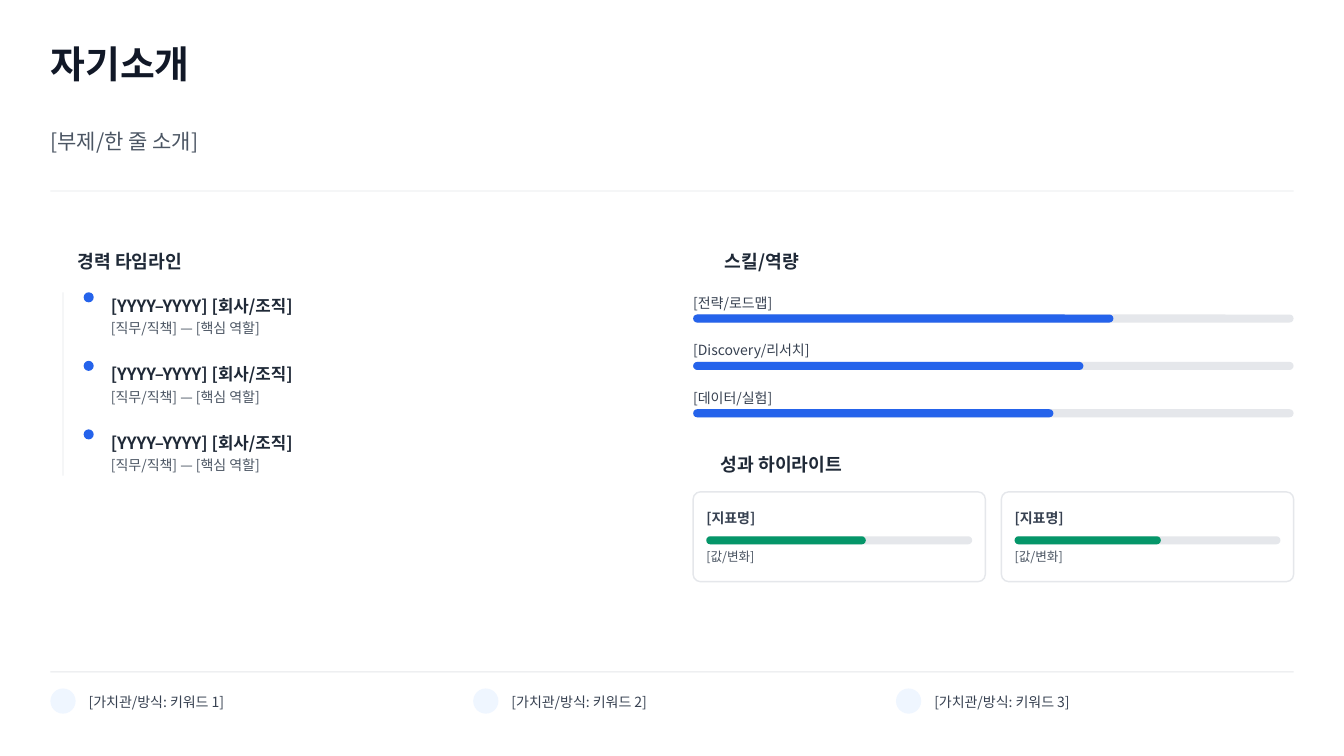
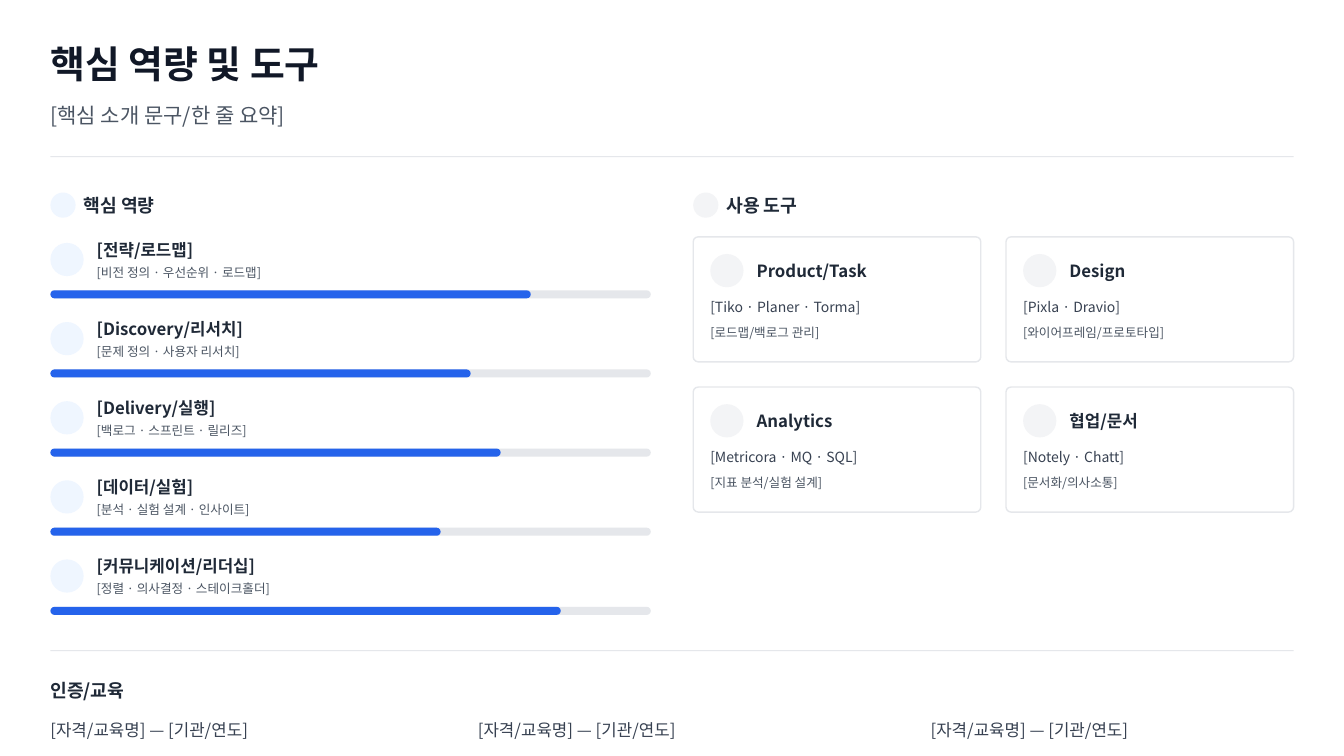
from pptx import Presentation
from pptx.dml.color import RGBColor
from pptx.enum.shapes import MSO_SHAPE
from pptx.enum.text import MSO_ANCHOR, MSO_AUTO_SIZE, PP_ALIGN
from pptx.oxml.ns import qn
from pptx.util import Inches, Pt
from lxml.etree import SubElement

# Colours
NAVY = RGBColor(0x11, 0x18, 0x27)
DARK = RGBColor(0x1F, 0x29, 0x37)
SLATE = RGBColor(0x37, 0x41, 0x51)
MUTED = RGBColor(0x4B, 0x55, 0x63)
BORDER = RGBColor(0xE5, 0xE7, 0xEB)
PALE_GRAY = RGBColor(0xF3, 0xF4, 0xF6)
PALE_BLUE = RGBColor(0xEF, 0xF6, 0xFF)
BLUE = RGBColor(0x25, 0x63, 0xEB)
GREEN = RGBColor(0x05, 0x96, 0x69)

# Text styles: size, colour, bold
FONT = "Noto Sans CJK KR"
TITLE = (27, NAVY, True)
SUBTITLE = (15, MUTED, False)
HEADING = (13, DARK, True)
ITEM = (12, DARK, True)
ENTRY = (12, SLATE, False)
METRIC = (10, SLATE, True)
LABEL = (10, SLATE, False)
DETAIL = (10, MUTED, False)
SMALL = (9, MUTED, False)

# Grid, in inches: two columns between equal margins
WIDTH, HEIGHT = 13.33, 7.5
LEFT = 0.5
CONTENT = WIDTH - 2 * LEFT
GUTTER = 0.42
COLUMN = (CONTENT - GUTTER) / 2
RIGHT = LEFT + COLUMN + GUTTER
BAR = 0.08
ROUND = 0.5


def add_text(slide, text, left, top, width, height, style, shape=None):
    """Write one line, in a new text box or in the given placeholder."""
    if shape is None:
        shape = slide.shapes.add_textbox(0, 0, 0, 0)
    shape.left, shape.top = Inches(left), Inches(top)
    shape.width, shape.height = Inches(width), Inches(height)
    frame = shape.text_frame
    frame.word_wrap = True
    frame.auto_size = MSO_AUTO_SIZE.NONE
    frame.vertical_anchor = MSO_ANCHOR.MIDDLE
    frame.margin_left = frame.margin_right = frame.margin_top = frame.margin_bottom = 0
    paragraph = frame.paragraphs[0]
    paragraph.alignment = PP_ALIGN.LEFT
    run = paragraph.add_run()
    run.text = text
    size, run.font.color.rgb, run.font.bold = style
    run.font.size = Pt(size)
    run.font.name = FONT
    SubElement(run.font._element, qn("a:ea"), typeface=FONT)


def add_box(slide, left, top, width, height, fill=None, radius=0):
    """Add a filled box, or an outlined card when there is no fill."""
    kind = MSO_SHAPE.ROUNDED_RECTANGLE if radius else MSO_SHAPE.RECTANGLE
    shape = slide.shapes.add_shape(
        kind, Inches(left), Inches(top), Inches(width), Inches(height))
    shape.shadow.inherit = False
    if radius:
        shape.adjustments[0] = radius
    if fill is None:
        shape.fill.background()
        shape.line.color.rgb = BORDER
        shape.line.width = Pt(1)
    else:
        shape.fill.solid()
        shape.fill.fore_color.rgb = fill
        shape.line.fill.background()


presentation = Presentation()
presentation.slide_width, presentation.slide_height = Inches(WIDTH), Inches(HEIGHT)

# Shared frame: title, subtitle and the two rules
frames = [
    ("자기소개", "[부제/한 줄 소개]", 0.81, (1.89, 6.66)),
    ("핵심 역량 및 도구", "[핵심 소개 문구/한 줄 요약]", 0.3, (1.55, 6.45)),
]
for title, subtitle, subtitle_height, rules in frames:
    slide = presentation.slides.add_slide(presentation.slide_layouts[5])
    add_text(slide, title, LEFT, 0.36, CONTENT, 0.54, TITLE, slide.shapes.title)
    add_text(slide, subtitle, LEFT, 0.99, CONTENT, subtitle_height, SUBTITLE)
    for top in rules:
        add_box(slide, LEFT, top, CONTENT, 0.01, BORDER)
profile, skills = presentation.slides
bars = []  # slide, left, top, width, share, colour

# Section headings
headings = [
    (profile, "경력 타임라인", 0.77, 2.45), (profile, "스킬/역량", 7.19, 2.45),
    (profile, "성과 하이라이트", 7.15, 4.47),
    (skills, "핵심 역량", LEFT + 0.33, 1.9), (skills, "사용 도구", RIGHT + 0.33, 1.9),
    (skills, "인증/교육", LEFT, 6.71),
]
for slide, text, left, top in headings:
    add_text(slide, text, left, top, 2, 0.28, HEADING)
for left, color in ((LEFT, PALE_BLUE), (RIGHT, PALE_GRAY)):
    add_box(skills, left, 1.91, 0.25, 0.25, color, ROUND)

# Profile: career timeline
add_box(profile, 0.62, 2.9, 0.01, 1.82, BORDER)
for row in range(3):
    top = 2.9 + row * 0.68
    add_box(profile, 0.83, top, 0.1, 0.1, BLUE, ROUND)
    add_text(profile, "[YYYY–YYYY] [회사/조직]", 1.1, top, 5, 0.26, ITEM)
    add_text(profile, "[직무/직책] — [핵심 역할]", 1.1, top + 0.25, 5, 0.21, DETAIL)

# Profile: skill levels
levels = [("[전략/로드맵]", 0.7), ("[Discovery/리서치]", 0.65), ("[데이터/실험]", 0.6)]
for row, (text, share) in enumerate(levels):
    top = 2.9 + row * 0.47
    add_text(profile, text, RIGHT, top, COLUMN, 0.21, LABEL)
    bars.append((profile, RIGHT, top + 0.22, COLUMN, share, BLUE))

# Profile: highlight cards
gap, padding = 0.16, 0.13
card_width = (COLUMN - gap) / 2
inner_width = card_width - 2 * padding
for column, share in enumerate((0.6, 0.55)):
    left = RIGHT + column * (card_width + gap)
    add_box(profile, left, 4.88, card_width, 0.89, radius=0.08)
    add_text(profile, "[지표명]", left + padding, 5.02, inner_width, 0.23, METRIC)
    add_text(profile, "[값/변화]", left + padding, 5.44, inner_width, 0.17, SMALL)
    bars.append((profile, left + padding, 5.32, inner_width, share, GREEN))

# Profile: values along the foot
value_step = (CONTENT + 0.25) / 3
for column in range(3):
    left = LEFT + column * value_step
    add_box(profile, left, 6.83, 0.25, 0.25, PALE_BLUE, ROUND)
    add_text(profile, f"[가치관/방식: 키워드 {column + 1}]", left + 0.38, 6.85, 3.4, 0.22, LABEL)

# Skills: core competencies
competencies = [
    ("[전략/로드맵]", "[비전 정의 · 우선순위 · 로드맵]", 0.8),
    ("[Discovery/리서치]", "[문제 정의 · 사용자 리서치]", 0.7),
    ("[Delivery/실행]", "[백로그 · 스프린트 · 릴리즈]", 0.75),
    ("[데이터/실험]", "[분석 · 실험 설계 · 인사이트]", 0.65),
    ("[커뮤니케이션/리더십]", "[정렬 · 의사결정 · 스테이크홀더]", 0.85),
]
competency_step = 3.14 / 4
for row, (name, detail, share) in enumerate(competencies):
    top = 2.35 + row * competency_step
    add_box(skills, LEFT, top + 0.06, 0.33, 0.33, PALE_BLUE, ROUND)
    add_text(skills, name, LEFT + 0.46, top, 5.4, 0.25, ITEM)
    add_text(skills, detail, LEFT + 0.46, top + 0.25, 5.4, 0.2, SMALL)
    bars.append((skills, LEFT, top + 0.53, COLUMN, share, BLUE))

# Skills: tool cards, two by two
tools = [
    ("Product/Task", "[Tiko · Planer · Torma]", "[로드맵/백로그 관리]"),
    ("Design", "[Pixla · Dravio]", "[와이어프레임/프로토타입]"),
    ("Analytics", "[Metricora · MQ · SQL]", "[지표 분석/실험 설계]"),
    ("협업/문서", "[Notely · Chatt]", "[문서화/의사소통]"),
]
gap, padding, card_height = 0.25, 0.17, 1.24
card_width = (COLUMN - gap) / 2
inner_width = card_width - 2 * padding
for index, (name, products, purpose) in enumerate(tools):
    row, column = divmod(index, 2)
    left = RIGHT + column * (card_width + gap)
    top = 2.35 + row * (card_height + gap)
    add_box(skills, left, top, card_width, card_height, radius=0.04)
    add_box(skills, left + padding, top + 0.17, 0.33, 0.33, PALE_GRAY, ROUND)
    add_text(skills, name, left + 0.63, top + 0.21, 2, 0.25, ITEM)
    add_text(skills, products, left + padding, top + 0.59, inner_width, 0.21, LABEL)
    add_text(skills, purpose, left + padding, top + 0.85, inner_width, 0.2, SMALL)

# Skills: certificates
for left in (LEFT, 4.74, 9.23):
    add_text(skills, "[자격/교육명] — [기관/연도]", left, 7.11, 3.6, 0.27, ENTRY)

# Progress bars: grey track, then the coloured share
for slide, left, top, width, share, color in bars:
    add_box(slide, left, top, width, BAR, BORDER, ROUND)
    add_box(slide, left, top, width * share, BAR, color, ROUND)

presentation.save("out.pptx")
